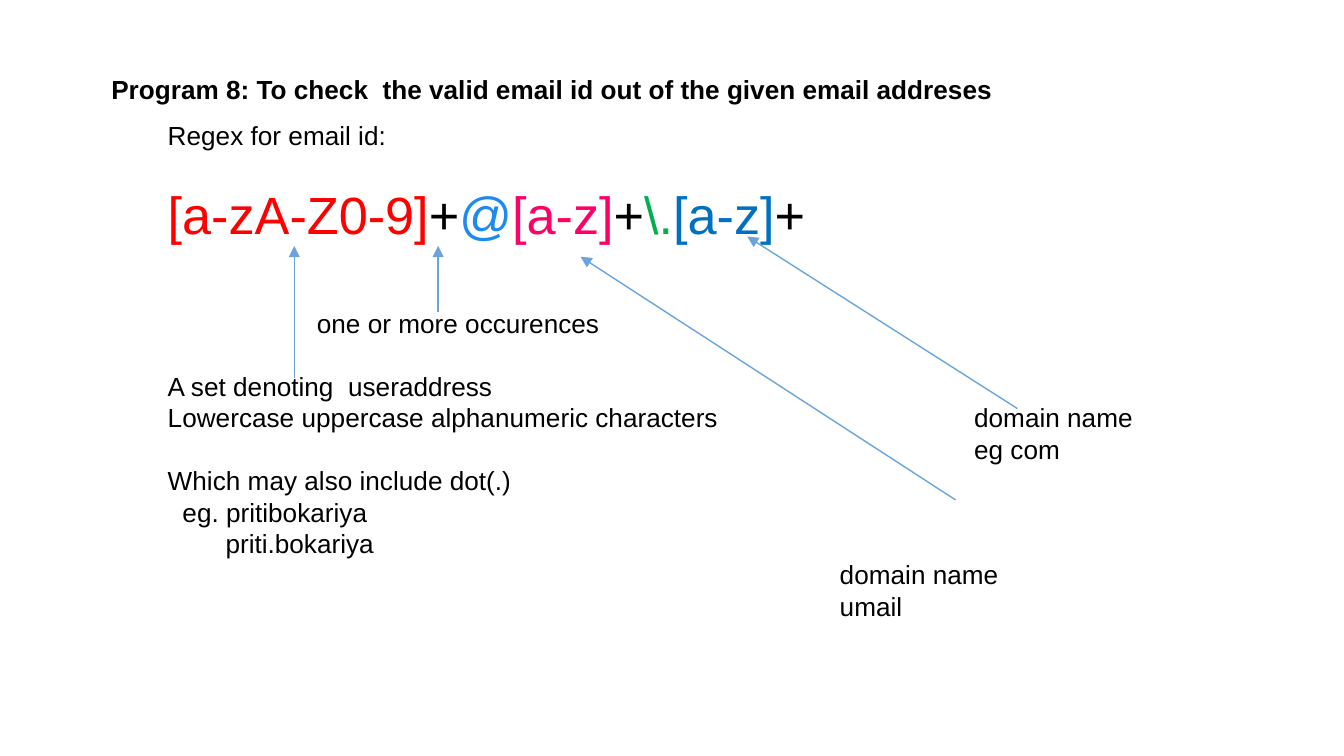
from lxml import etree
from pptx import Presentation, util as u
from pptx.dml.color import RGBColor
from pptx.enum import shapes, text
from pptx.oxml.ns import qn

THEME = {
    "font": "Arial", "body": 14, "regex": 28, "leading": 1.2,
    "black": "000000", "red": "FF0000", "sky": "1D8AEF", "pink": "FF0066",
    "green": "00B050", "blue": "0070C0", "arrow": "6AA4DA", "arrow_width": 0.75,
}

TITLE = "Program 8: To check  the valid email id out of the given email addreses"
REGEX = [
    ("[a-zA-Z0-9]", "red"), ("+", "black"), ("@", "sky"), ("[a-z]", "pink"),
    ("+", "black"), ("\\.", "green"), ("[a-z]", "blue"), ("+", "black"),
]
BODY = [
    ("Regex for email id:", {}),
    (REGEX, {"size": THEME["regex"], "lines_before": 1}),
    ("one or more occurences", {"indent": 1.11, "lines_before": 2}),
    ("A set denoting  useraddress", {"lines_before": 1}),
    ("Lowercase uppercase alphanumeric characters\tdomain name", {"tab": 6}),
    ("eg com", {"indent": 6}),
    ("Which may also include dot(.)", {}),
    ("eg. pritibokariya", {"indent": 0.11}),
    ("priti.bokariya", {"indent": 0.43}),
    ("domain name", {"indent": 5}),
    ("umail", {"indent": 5}),
]
ARROWS = [
    ((2.19, 2.81), (2.19, 1.83)),
    ((3.26, 2.32), (3.26, 1.83)),
    ((7.11, 3.72), (4.32, 1.91)),
    ((7.57, 3.04), (5.56, 1.76)),
]


def add_box(slide, left, top, width, height, wrap):
    frame = slide.shapes.add_textbox(*map(u.Inches, (left, top, width, height))).text_frame
    frame.word_wrap = wrap
    frame.auto_size = text.MSO_AUTO_SIZE.SHAPE_TO_FIT_TEXT
    return frame


def write(paragraph, content, size=THEME["body"], bold=False, indent=0, lines_before=0, tab=None):
    if indent:
        paragraph._p.get_or_add_pPr().set("marL", str(u.Inches(indent)))
    if tab:
        tabs = etree.SubElement(paragraph._p.get_or_add_pPr(), qn("a:tabLst"))
        etree.SubElement(tabs, qn("a:tab"), pos=str(u.Inches(tab)), algn="l")
    paragraph.line_spacing = u.Pt(size * THEME["leading"])
    if lines_before:
        paragraph.space_before = u.Pt(lines_before * THEME["body"] * THEME["leading"])
    parts = [(content, "black")] if isinstance(content, str) else content
    for words, color in parts:
        run = paragraph.add_run()
        run.text = words
        run.font.name = THEME["font"]
        run.font.size = u.Pt(size)
        run.font.bold = bold
        run.font.color.rgb = RGBColor.from_string(THEME[color])


def add_arrow(slide, start, end):
    arrow = slide.shapes.add_connector(
        shapes.MSO_CONNECTOR.STRAIGHT, *map(u.Inches, start + end))
    arrow.line.color.rgb = RGBColor.from_string(THEME["arrow"])
    arrow.line.width = u.Pt(THEME["arrow_width"])
    etree.SubElement(arrow.line._get_or_add_ln(), qn("a:tailEnd"), type="triangle")
    etree.SubElement(arrow._element.spPr, qn("a:effectLst"))


def main():
    presentation = Presentation()
    presentation.slide_width = u.Inches(10)
    presentation.slide_height = presentation.slide_width * 9 // 16
    slide = presentation.slides.add_slide(presentation.slide_layouts[6])

    title = add_box(slide, 0.73, 0.5, 6.84, 0.34, wrap=False)
    write(title.paragraphs[0], TITLE, bold=True)

    body = add_box(slide, 1.15, 0.84, 7.74, 3.85, wrap=True)
    for index, (content, style) in enumerate(BODY):
        paragraph = body.add_paragraph() if index else body.paragraphs[0]
        write(paragraph, content, **style)

    for start, end in ARROWS:
        add_arrow(slide, start, end)

    presentation.save("out.pptx")


if __name__ == "__main__":
    main()
